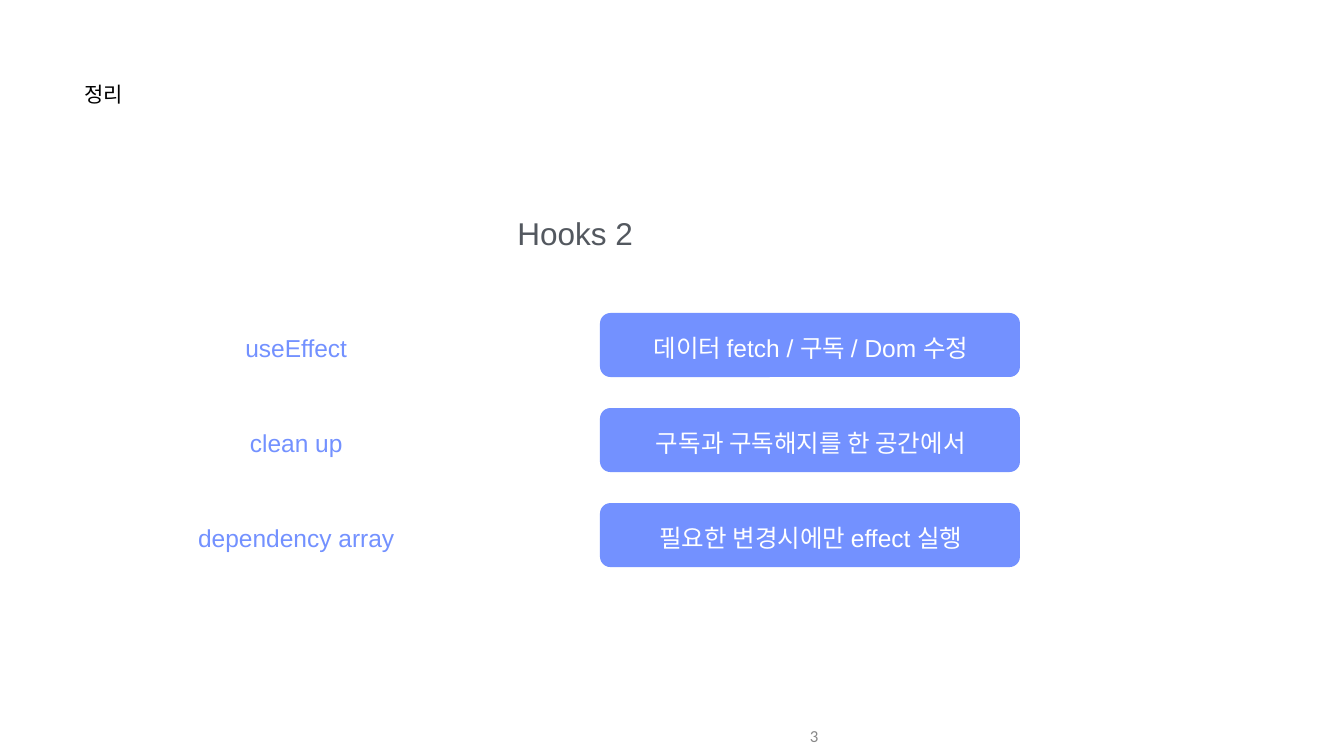
"""Build the Hooks 2 summary slide: three terms beside their key points."""
from dataclasses import dataclass
from typing import NamedTuple

from pptx import Presentation
from pptx.dml.color import RGBColor
from pptx.enum.shapes import MSO_SHAPE
from pptx.enum.text import MSO_ANCHOR, PP_ALIGN
from pptx.slide import Slide
from pptx.util import Inches, Pt

ROUNDED = MSO_SHAPE.ROUNDED_RECTANGLE
TOP, MIDDLE = MSO_ANCHOR.TOP, MSO_ANCHOR.MIDDLE
LEFT, CENTER, RIGHT = PP_ALIGN.LEFT, PP_ALIGN.CENTER, PP_ALIGN.RIGHT
SLIDE_WIDTH, SLIDE_HEIGHT = 26.66, 15
GRID_STEPS = 100


class Box(NamedTuple):
    """A rectangle in hundredths of the slide's width and height."""
    left: float
    top: float
    width: float
    height: float

    def lengths(self) -> list[int]:
        """Convert the rectangle to slide lengths."""
        sides = (SLIDE_WIDTH, SLIDE_HEIGHT) * 2
        return [Inches(share * side / GRID_STEPS) for share, side in zip(self, sides)]

    def down(self, distance: float) -> "Box":
        """Return the rectangle moved down by a distance."""
        return self._replace(top=self.top + distance)


@dataclass(frozen=True)
class Theme:
    """Colours, fonts and type sizes of the slide."""
    accent: str = "7391FF"
    white: str = "FFFFFF"
    black: str = "000000"
    heading: str = "53585F"
    muted: str = "888888"
    body_font: str = "Arial"
    number_font: str = "Calibri"
    title_size: int = 30
    heading_size: int = 45
    body_size: int = 35
    number_size: int = 24


THEME = Theme()


@dataclass(frozen=True)
class TextStyle:
    """How a line of text is set in its box."""
    size: int
    color: str
    align: PP_ALIGN = CENTER
    anchor: MSO_ANCHOR = MIDDLE
    font: str = THEME.body_font
    inset_x: float = 0.01
    inset_y: float = 0.01


class Topic(NamedTuple):
    """A term and the point to remember about it."""
    term: str
    point: str


TITLE_STYLE = TextStyle(THEME.title_size, THEME.black, LEFT, TOP)
HEADING_STYLE = TextStyle(THEME.heading_size, THEME.heading, CENTER, TOP)
NUMBER_STYLE = TextStyle(THEME.number_size, THEME.muted, RIGHT, MIDDLE,
                         THEME.number_font, 0.1, 0.05)
TERM_STYLE = TextStyle(THEME.body_size, THEME.accent)
POINT_STYLE = TextStyle(THEME.body_size, THEME.white)

TITLE_BOX = Box(6.26, 10.67, 18.23, 7.87)
HEADING_BOX = Box(9.9, 28.27, 65.79, 5.27)
NUMBER_BOX = Box(38.75, 94.73, 22.51, 5.27)
CARD_BOX = Box(44.64, 41.4, 31.25, 8.47)
TERM_BOX = Box(10.32, 43.93, 23.44, 4.13)
POINT_BOX = Box(44.71, 43.93, 31.25, 4.13)
ROW_PITCH = 12.57
CARD_ROUNDING = 0.164

TOPICS = (
    Topic("useEffect", "데이터 fetch / 구독 / Dom 수정"),
    Topic("clean up", "구독과 구독해지를 한 공간에서"),
    Topic("dependency array", "필요한 변경시에만 effect 실행"),
)


def apply_format(target: object, values: dict[str, object]) -> None:
    """Set each named attribute on the target."""
    for name, value in values.items():
        setattr(target, name, value)


def add_text(slide: Slide, box: Box, text: str, style: TextStyle) -> None:
    """Add one line of styled text."""
    frame = slide.shapes.add_textbox(*box.lengths()).text_frame
    inset_x, inset_y = Inches(style.inset_x), Inches(style.inset_y)
    apply_format(frame, {
        "word_wrap": True, "vertical_anchor": style.anchor,
        "margin_left": inset_x, "margin_right": inset_x,
        "margin_top": inset_y, "margin_bottom": inset_y,
    })
    paragraph = frame.paragraphs[0]
    paragraph.alignment = style.align
    run = paragraph.add_run()
    run.text = text
    apply_format(run.font, {"name": style.font, "size": Pt(style.size)})
    run.font.color.rgb = RGBColor.from_string(style.color)


def add_card(slide: Slide, box: Box) -> None:
    """Add a rounded card in the accent colour."""
    card = slide.shapes.add_shape(ROUNDED, *box.lengths())
    card.adjustments[0] = CARD_ROUNDING
    card.shadow.inherit = False
    card.fill.solid()
    card.fill.fore_color.rgb = RGBColor.from_string(THEME.accent)
    card.line.fill.background()


def add_topic(slide: Slide, row: int, topic: Topic) -> None:
    """Add a term and its point on the given row."""
    distance = row * ROW_PITCH
    add_card(slide, CARD_BOX.down(distance))
    add_text(slide, TERM_BOX.down(distance), topic.term, TERM_STYLE)
    add_text(slide, POINT_BOX.down(distance), topic.point, POINT_STYLE)


def main() -> None:
    """Build and save the presentation."""
    presentation = Presentation()
    apply_format(presentation, {
        "slide_width": Inches(SLIDE_WIDTH), "slide_height": Inches(SLIDE_HEIGHT),
    })
    slide = presentation.slides.add_slide(presentation.slide_layouts[6])
    add_text(slide, TITLE_BOX, "정리", TITLE_STYLE)
    add_text(slide, HEADING_BOX, "Hooks 2", HEADING_STYLE)
    add_text(slide, NUMBER_BOX, "3", NUMBER_STYLE)
    for row, topic in enumerate(TOPICS):
        add_topic(slide, row, topic)
    presentation.save("out.pptx")


if __name__ == "__main__":
    main()
